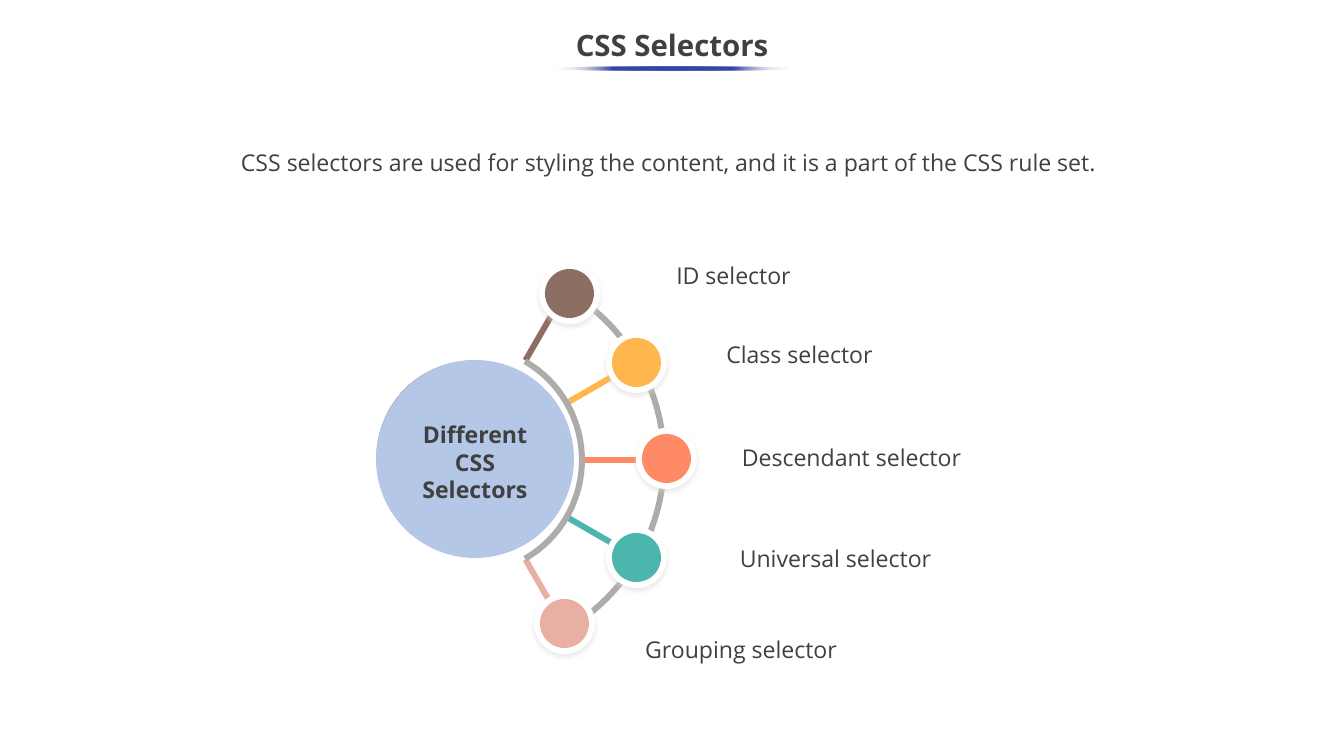
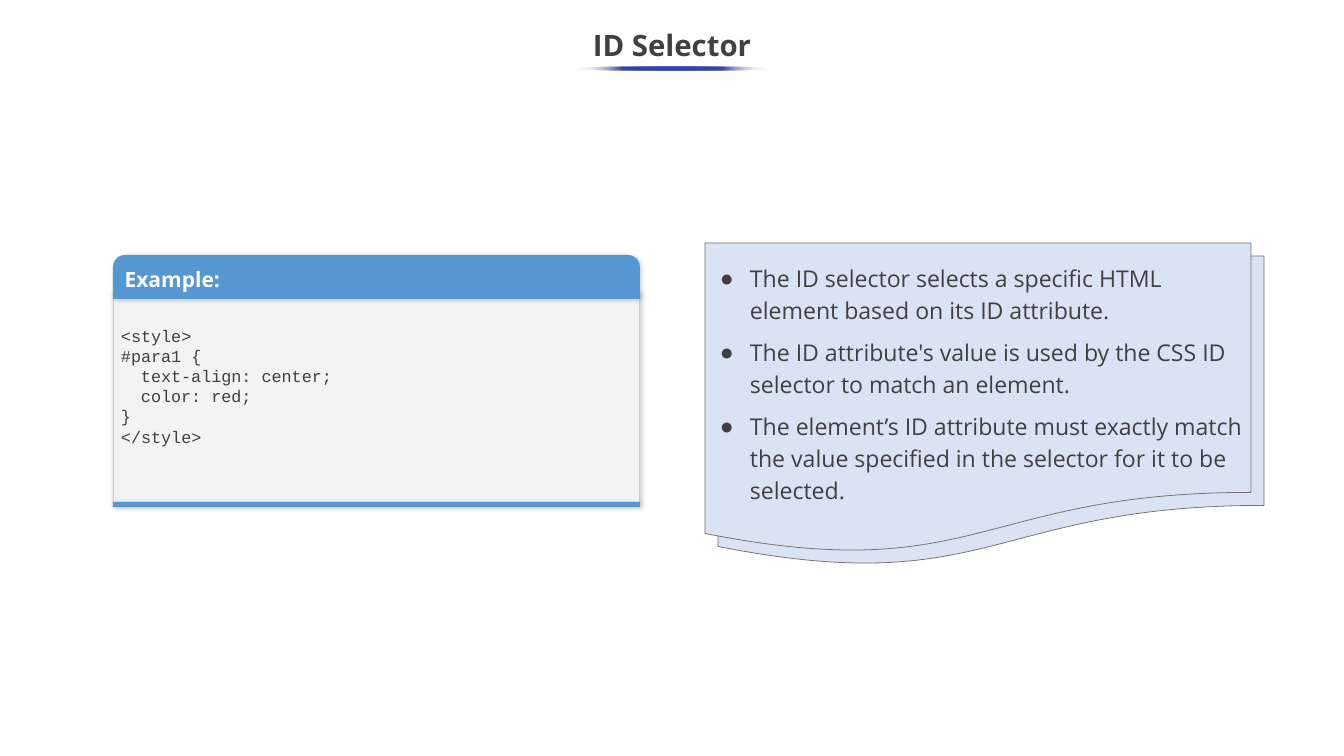
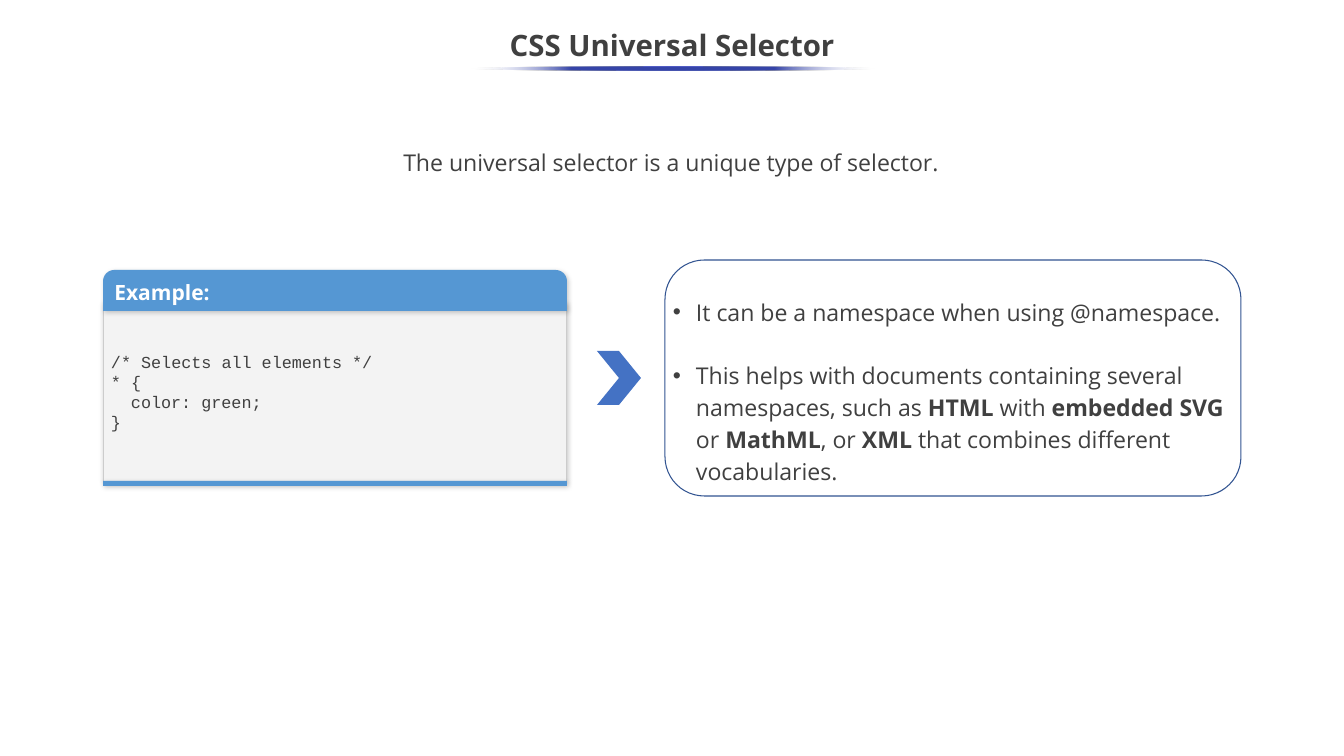
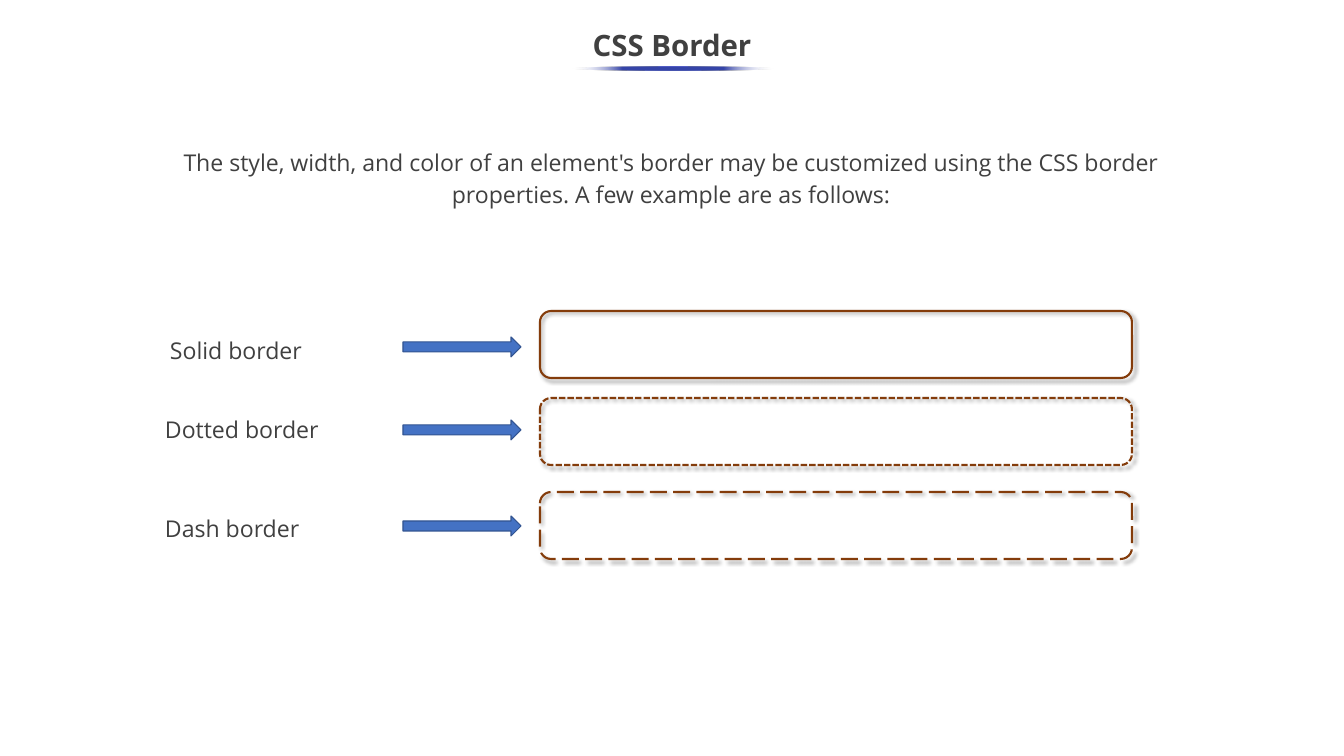
from math import cos, radians, sin

from lxml import etree
from pptx import Presentation
from pptx.dml.color import RGBColor
from pptx.enum.dml import MSO_LINE
from pptx.enum.shapes import MSO_SHAPE
from pptx.enum.text import MSO_ANCHOR, PP_ALIGN
from pptx.oxml.ns import qn
from pptx.util import Pt

OVAL = MSO_SHAPE.OVAL
RECTANGLE = MSO_SHAPE.RECTANGLE
TAB_HEADER = MSO_SHAPE.ROUND_2_SAME_RECTANGLE
DOCUMENT = MSO_SHAPE.FLOWCHART_DOCUMENT
ROUNDED = MSO_SHAPE.FLOWCHART_ALTERNATE_PROCESS
CHEVRON = MSO_SHAPE.CHEVRON
RIGHT_ARROW = MSO_SHAPE.RIGHT_ARROW
SOLID = MSO_LINE.SOLID
DOTTED = MSO_LINE.SQUARE_DOT
DASHED = MSO_LINE.LONG_DASH
LEFT = PP_ALIGN.LEFT
CENTER = PP_ALIGN.CENTER
TOP = MSO_ANCHOR.TOP
MIDDLE = MSO_ANCHOR.MIDDLE

EMU_PER_PX = 914400 / 75.6
SLIDE_SIZE = (1344, 756)
SANS = "Open Sans"
MONO = "Courier New"
BULLET_FONT = "Arial"
MONO_CHAR = 10
INK = "404040"
WHITE = "FFFFFF"
UNDERLINE = "3645A9"
GRAY = "AFABAB"
BLUE = "4472C4"
NAVY = "325491"
BROWN = "843C0B"
PAPER = "DAE3F3"
CARD_BLUE = "5597D3"

CARD_SHADOW = ("000000", 20, 4.5, 1.5, 47)
NODE_SHADOW = ("D9D9D9", 47, 4, 3, 90)
BORDER_SHADOW = ("000000", 40, 4, 3, 45)

SELECTORS = [
    ("ID selector", "8D6E63", -60, (569, 293), (668, 257, 131)),
    ("Class selector", "FFB74D", -30, (636, 362), (718, 336, 163)),
    ("Descendant selector", "FF8A65", 0, (666, 458), (733, 439, 237)),
    ("Universal selector", "4DB6AC", 30, (636, 557), (717, 540, 237)),
    ("Grouping selector", "E9AFA3", 60, (564, 623), (636, 631, 210)),
]
ID_CODE = [
    "<style>",
    "#para1 {",
    "  text-align: center;",
    "  color: red;",
    "}",
    "</style>",
]
ID_FACTS = [
    "The ID selector selects a specific HTML element based on its ID attribute.",
    "The ID attribute's value is used by the CSS ID selector to match an element.",
    "The element’s ID attribute must exactly match the value specified in the "
    "selector for it to be selected.",
]
UNIVERSAL_CODE = ["/* Selects all elements */", "* {", "  color: green;", "}"]
UNIVERSAL_FACTS = [
    "It can be a namespace when using @namespace.",
    "This helps with documents containing several namespaces, such as **HTML** with "
    "**embedded SVG** or **MathML**, or **XML** that combines different vocabularies.",
]
BORDERS = [
    ("Solid border", SOLID, 162, 328, 337, 311),
    ("Dotted border", DOTTED, 157, 407, 420, 398),
    ("Dash border", DASHED, 157, 506, 516, 492),
]


def px(length):
    return round(length * EMU_PER_PX)


def rgb(color):
    return RGBColor.from_string(color)


def add_color(parent, color, alpha=100):
    node = etree.SubElement(parent, qn("a:srgbClr"), val=color)
    if alpha < 100:
        etree.SubElement(node, qn("a:alpha"), val=str(alpha * 1000))


def style(shape, fill=None, line=None, weight=0.75, dash=None, shadow=None):
    if fill:
        shape.fill.solid()
        shape.fill.fore_color.rgb = rgb(fill)
    else:
        shape.fill.background()
    if line:
        shape.line.color.rgb = rgb(line)
        shape.line.width = Pt(weight)
        if dash:
            shape.line.dash_style = dash
    else:
        shape.line.fill.background()
    shape.shadow.inherit = False
    if shadow:
        color, alpha, blur, distance, angle = shadow
        effects = shape.element.spPr.find(qn("a:effectLst"))
        outer = etree.SubElement(
            effects, qn("a:outerShdw"), blurRad=str(Pt(blur)), dist=str(Pt(distance)),
            dir=str(angle * 60000), algn="ctr", rotWithShape="0")
        add_color(outer, color, alpha)
    return shape


def add_part(slide, preset, box, **look):
    return style(slide.shapes.add_shape(preset, *map(px, box)), **look)


def add_outline(slide, points, fill):
    corners = [(px(x), px(y)) for x, y in points]
    builder = slide.shapes.build_freeform(*corners[0])
    builder.add_line_segments(corners[1:], close=True)
    return style(builder.convert_to_shape(), fill=fill)


def indent(paragraph, left, hang=0, bullet=None):
    props = paragraph._p.get_or_add_pPr()
    props.set("marL", str(px(left)))
    props.set("indent", str(-px(hang)))
    if bullet:
        add_color(etree.SubElement(props, qn("a:buClr")), INK)
        etree.SubElement(props, qn("a:buFont"), typeface=BULLET_FONT)
        etree.SubElement(props, qn("a:buChar"), char=bullet)


def write(shape, lines, size=22, color=INK, font=SANS, bold=False, align=LEFT,
          spacing=None, gap=0, anchor=TOP, insets=(8, 4, 8, 4), wrap=True, bullet=None):
    frame = shape.text_frame
    frame.word_wrap = wrap
    frame.vertical_anchor = anchor
    (frame.margin_left, frame.margin_top,
     frame.margin_right, frame.margin_bottom) = map(px, insets)
    for index, line in enumerate(lines):
        paragraph = frame.paragraphs[0] if index == 0 else frame.add_paragraph()
        text = line.lstrip()
        if bullet:
            indent(paragraph, *bullet)
        elif text != line:
            indent(paragraph, MONO_CHAR * (len(line) - len(text)))
        paragraph.alignment = align
        if spacing:
            paragraph.line_spacing = spacing
        if gap and index:
            paragraph.space_before = Pt(gap)
        paragraph.font.size = Pt(size)
        paragraph.font.name = font
        paragraph.font.bold = bold
        paragraph.font.color.rgb = rgb(color)
        for part, words in enumerate(text.split("**")):
            run = paragraph.add_run()
            run.text = words
            if part % 2:
                run.font.bold = True


def add_text(slide, box, lines, **look):
    write(slide.shapes.add_textbox(*map(px, box)), lines, **look)


def add_heading(slide, title, underline_width):
    add_text(slide, (-1, 18, 1346, 57), [title], size=28, bold=True,
             align=CENTER, spacing=0.9, anchor=MIDDLE)
    underline = add_part(slide, OVAL, (673 - underline_width // 2, 67, underline_width, 3))
    underline.fill.gradient()
    underline.fill.gradient_angle = 0
    stops = underline.element.spPr.find(qn("a:gradFill")).find(qn("a:gsLst"))
    for stop in list(stops):
        stops.remove(stop)
    for position, color, alpha in ((0, WHITE, 0), (25, UNDERLINE, 100), (50, UNDERLINE, 100),
                                   (75, UNDERLINE, 100), (100, WHITE, 0)):
        add_color(etree.SubElement(stops, qn("a:gs"), pos=str(position * 1000)), color, alpha)


def add_intro(slide, box, text):
    add_text(slide, box, [text], align=CENTER, spacing=1.15)


def add_example(slide, box, header_height, code, bottom_inset=8):
    x, y, width, height = box
    strip = 5
    body_top = y + header_height - 8
    body = add_part(slide, RECTANGLE, (x, body_top, width - 1, y + height - strip - body_top),
                    fill="F3F3F3", line="CCCCCC", shadow=CARD_SHADOW)
    write(body, code, size=16, font=MONO, anchor=MIDDLE, insets=(8, 8, 8, bottom_inset))
    add_part(slide, RECTANGLE, (x, y + height - strip, width, strip),
             fill=CARD_BLUE, shadow=CARD_SHADOW)
    header = add_part(slide, TAB_HEADER, (x, y, width, header_height),
                      fill=CARD_BLUE, shadow=CARD_SHADOW)
    header.adjustments[0] = 0.275
    write(header, ["Example:"], size=20, color=WHITE, bold=True, anchor=MIDDLE,
          insets=(8, 8, 8, 8))


def polar(center, radius, angle):
    return (center[0] + radius * cos(radians(angle)),
            center[1] + radius * sin(radians(angle)))


def add_arc(slide, center, inner, outer):
    sweep = range(-60, 61, 3)
    points = [polar(center, outer, angle) for angle in sweep]
    points += [polar(center, inner, angle) for angle in reversed(sweep)]
    add_outline(slide, points, GRAY)


def add_spoke(slide, center, angle, color):
    half_width = 3
    start, end = polar(center, 115, angle), polar(center, 173, angle)
    corners = [polar(start, half_width, angle - 90), polar(end, half_width, angle - 90),
               polar(end, half_width, angle + 90), polar(start, half_width, angle + 90)]
    add_outline(slide, corners, color)


def add_disc(slide, center, diameter, **look):
    x, y = center
    add_part(slide, OVAL, (x - diameter // 2, y - diameter // 2, diameter, diameter), **look)


def add_selector_wheel(slide, box):
    x, y, size = box
    center = (x + 92, y + 100)
    add_part(slide, OVAL, (x + 1, y + 1, size - 5, size - 5), fill="E7E6E6", line="000000")
    hub = add_part(slide, OVAL, (x, y, size, size), fill="B4C7E7")
    write(hub, ["Different CSS Selectors"], bold=True, align=CENTER, anchor=MIDDLE,
          insets=(8, 8, 8, 2))
    for _, color, angle, _, _ in SELECTORS:
        add_spoke(slide, center, angle, color)
    add_arc(slide, center, 193, 199)
    add_arc(slide, center, 111, 117)
    for name, color, _, node, (label_x, label_y, label_width) in SELECTORS:
        add_disc(slide, node, 61, fill=WHITE, shadow=NODE_SHADOW)
        add_disc(slide, node, 49, fill=color)
        add_text(slide, (label_x, label_y, label_width, 36), [name], align=CENTER, wrap=False)


def add_document_stack(slide, box, facts):
    x, y, width, height = box
    add_part(slide, DOCUMENT, (x + 13, y + 13, width, height), fill=PAPER, line="767171")
    sheet = add_part(slide, DOCUMENT, box, fill=PAPER, line="767171")
    write(sheet, facts, spacing=1.15, gap=10, anchor=MIDDLE, insets=(8, 29, 4, 0),
          bullet=(37, 30, "●"))


def add_rounded_panel(slide, box, facts):
    x, y, width, height = box
    add_part(slide, ROUNDED, box, line=NAVY, weight=1)
    add_text(slide, (x, y + 30, width, height - 37), facts, spacing=1.15, gap=30,
             bullet=(23, 23, "•"))


def add_border_row(slide, name, dash, label_x, label_y, arrow_y, frame_y):
    add_text(slide, (label_x, label_y, 175, 38), [name], spacing=1.15)
    add_part(slide, RIGHT_ARROW, (403, arrow_y, 118, 20), fill=BLUE, line=NAVY, weight=1)
    add_part(slide, ROUNDED, (540, frame_y, 592, 67), line=BROWN, weight=2, dash=dash,
             shadow=BORDER_SHADOW)


def build_selectors(slide):
    add_heading(slide, "CSS Selectors", 240)
    add_intro(slide, (124, 140, 1089, 38),
              "CSS selectors are used for styling the content, and it is a part of "
              "the CSS rule set.")
    add_selector_wheel(slide, (376, 360, 198))


def build_id_selector(slide):
    add_heading(slide, "ID Selector", 198)
    add_example(slide, (113, 255, 527, 252), 44, ID_CODE, bottom_inset=29)
    add_document_stack(slide, (705, 243, 546, 311), ID_FACTS)


def build_universal_selector(slide):
    add_heading(slide, "CSS Universal Selector", 405)
    add_intro(slide, (299, 140, 744, 38),
              "The universal selector is a unique type of selector.")
    add_example(slide, (103, 270, 464, 216), 41, UNIVERSAL_CODE)
    add_part(slide, CHEVRON, (597, 351, 44, 54), fill=BLUE)
    add_rounded_panel(slide, (665, 260, 576, 236), UNIVERSAL_FACTS)


def build_border(slide):
    add_heading(slide, "CSS Border", 200)
    add_intro(slide, (172, 140, 998, 70),
              "The style, width, and color of an element's border may be customized "
              "using the CSS border properties. A few example are as follows:")
    for row in BORDERS:
        add_border_row(slide, *row)


def main():
    deck = Presentation()
    deck.slide_width, deck.slide_height = map(px, SLIDE_SIZE)
    blank = deck.slide_layouts[6]
    for build in (build_selectors, build_id_selector, build_universal_selector, build_border):
        build(deck.slides.add_slide(blank))
    deck.save("out.pptx")


if __name__ == "__main__":
    main()
